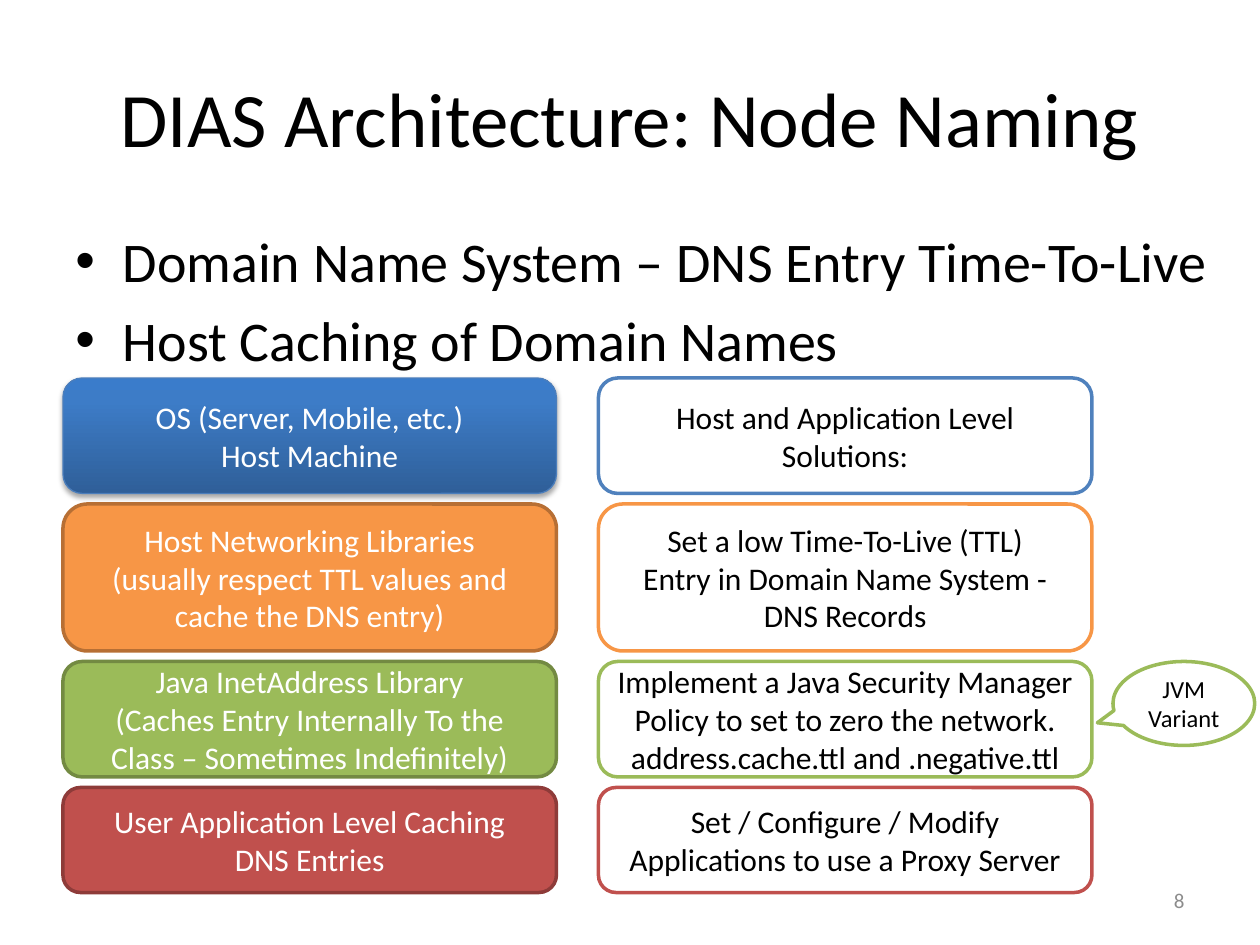
import pptx
import pptx.dml.color
import pptx.enum.shapes
import pptx.enum.text
import pptx.oxml
import pptx.oxml.ns
import pptx.util
from dataclasses import dataclass

PX = 9525
NS = pptx.oxml.ns.nsdecls("a")
SHAPE = pptx.enum.shapes.MSO_SHAPE
ALIGN = pptx.enum.text.PP_ALIGN
ANCHOR = pptx.enum.text.MSO_ANCHOR


@dataclass(frozen=True)
class Theme:
    font: str = "Calibri"
    title: int = 44
    body: int = 32
    box: int = 18
    callout: int = 14
    number: int = 12
    black: str = "000000"
    white: str = "FFFFFF"
    gray: str = "8C8C8C"
    blue: str = "4F81BD"
    blue_edge: str = "4B7EBC"
    blue_stops: tuple = ((0, "2F5F99"), (80, "3D7CC7"), (100, "3A7CCB"))
    orange: str = "F79646"
    orange_edge: str = "B76F34"
    green: str = "9BBB59"
    green_edge: str = "738A42"
    red: str = "C0504D"
    red_edge: str = "8E3B39"


def px(*lengths):
    return [n * PX for n in lengths]


def rgb(color):
    return pptx.dml.color.RGBColor.from_string(color)


def write(tf, text, *, font, size, color, align=ALIGN.CENTER,
          anchor=ANCHOR.MIDDLE, before=0, bullet=None, indent=0):
    tf.word_wrap = True
    tf.vertical_anchor = anchor
    for i, line in enumerate(text.split("\n")):
        p = tf.add_paragraph() if i else tf.paragraphs[0]
        p.alignment = align
        p.space_before = pptx.util.Pt(before)
        r = p.add_run()
        r.text = line
        r.font.name = font
        r.font.size = pptx.util.Pt(size)
        r.font.color.rgb = rgb(color)
        if bullet:
            pPr = p._p.get_or_add_pPr()
            pPr.set("marL", str(indent * PX))
            pPr.set("indent", str(-indent * PX))
            pPr.append(pptx.oxml.parse_xml(f'<a:buFont {NS} typeface="Arial"/>'))
            pPr.append(pptx.oxml.parse_xml(f'<a:buChar {NS} char="{bullet}"/>'))


class Deck:
    def __init__(self, theme, width, height):
        self.theme = theme
        self.prs = pptx.Presentation()
        self.prs.slide_width, self.prs.slide_height = px(width, height)
        self.s = None

    def add_slide(self, title, left, top, width, height):
        self.s = self.prs.slides.add_slide(self.prs.slide_layouts[5])
        sp = self.s.shapes.title
        sp.left, sp.top, sp.width, sp.height = px(left, top, width, height)
        write(sp.text_frame, title, font=self.theme.font,
              size=self.theme.title, color=self.theme.black)

    def text(self, text, left, top, width, height, **fmt):
        sp = self.s.shapes.add_textbox(*px(left, top, width, height))
        write(sp.text_frame, text, font=self.theme.font, **fmt)

    def shape(self, kind, text, left, top, width, height, *, fill, line, color,
              size, weight=2):
        sp = self.s.shapes.add_shape(kind, *px(left, top, width, height))
        sp.shadow.inherit = False
        sp.fill.solid()
        sp.fill.fore_color.rgb = rgb(fill)
        sp.line.color.rgb = rgb(line)
        sp.line.width = pptx.util.Pt(weight)
        write(sp.text_frame, text, font=self.theme.font, size=size, color=color)
        return sp

    def box(self, text, left, top, width, height, **style):
        return self.shape(SHAPE.ROUNDED_RECTANGLE, text, left, top, width, height,
                          size=self.theme.box, **style)

    def callout(self, text, left, top, width, height, tip, **style):
        sp = self.shape(SHAPE.OVAL_CALLOUT, text, left, top, width, height,
                        size=self.theme.callout, **style)
        sp.adjustments[0], sp.adjustments[1] = tip

    def raise_box(self, sp, stops):
        spPr = sp._element.spPr
        gs = "".join(f'<a:gs pos="{pos * 1000}"><a:srgbClr val="{c}"/></a:gs>'
                     for pos, c in stops)
        grad = pptx.oxml.parse_xml(
            f'<a:gradFill {NS} rotWithShape="1"><a:gsLst>{gs}</a:gsLst>'
            '<a:lin ang="16200000" scaled="0"/></a:gradFill>')
        spPr.replace(spPr.find(pptx.oxml.ns.qn("a:solidFill")), grad)
        spPr.find(pptx.oxml.ns.qn("a:effectLst")).append(pptx.oxml.parse_xml(
            f'<a:outerShdw {NS} blurRad="40000" dist="23000" dir="5400000" '
            f'rotWithShape="0"><a:srgbClr val="{self.theme.black}">'
            '<a:alpha val="35000"/></a:srgbClr></a:outerShdw>'))


def main():
    t = Theme()
    deck = Deck(t, 960, 720)
    deck.add_slide("DIAS Architecture: Node Naming", 48, 29, 864, 120)
    deck.text("Domain Name System – DNS Entry Time-To-Live\n"
              "Host Caching of Domain Names", 48, 168, 904, 475,
              size=t.body, color=t.black, align=ALIGN.LEFT, anchor=ANCHOR.TOP,
              before=6.4, bullet="•", indent=36)
    deck.text("8", 688, 667, 224, 38, size=t.number, color=t.gray,
              align=ALIGN.RIGHT)

    rows = [
        (88, t.blue, t.blue_edge,
         "OS (Server, Mobile, etc.)\nHost Machine",
         "Host and Application Level Solutions:"),
        (112, t.orange, t.orange_edge,
         "Host Networking Libraries\n"
         "(usually respect TTL values and cache the DNS entry)",
         "Set a low Time-To-Live (TTL)\n"
         "Entry in Domain Name System - DNS Records"),
        (88, t.green, t.green_edge,
         "Java InetAddress Library\n"
         "(Caches Entry Internally To the Class – Sometimes Indefinitely)",
         "Implement a Java Security Manager\n"
         "Policy to set to zero the network. address.cache.ttl and .negative.ttl"),
        (80, t.red, t.red_edge,
         "User Application Level Caching\nDNS Entries",
         "Set / Configure / Modify Applications to use a Proxy Server"),
    ]
    top, gap, width = 288, 8, 376
    for height, color, edge, layer, solution in rows:
        raised = color == t.blue
        sp = deck.box(layer, 48, top, width, height, fill=color, line=edge,
                      color=t.white, weight=0.75 if raised else 2)
        if raised:
            deck.raise_box(sp, t.blue_stops)
        deck.box(solution, 456, top, width, height, fill=t.white, line=color,
                 color=t.black)
        top += height + gap

    deck.callout("JVM\nVariant", 848, 504, 108, 64, (-0.61, 0.23),
                 fill=t.white, line=t.green, color=t.black)
    deck.prs.save("out.pptx")


if __name__ == "__main__":
    main()
